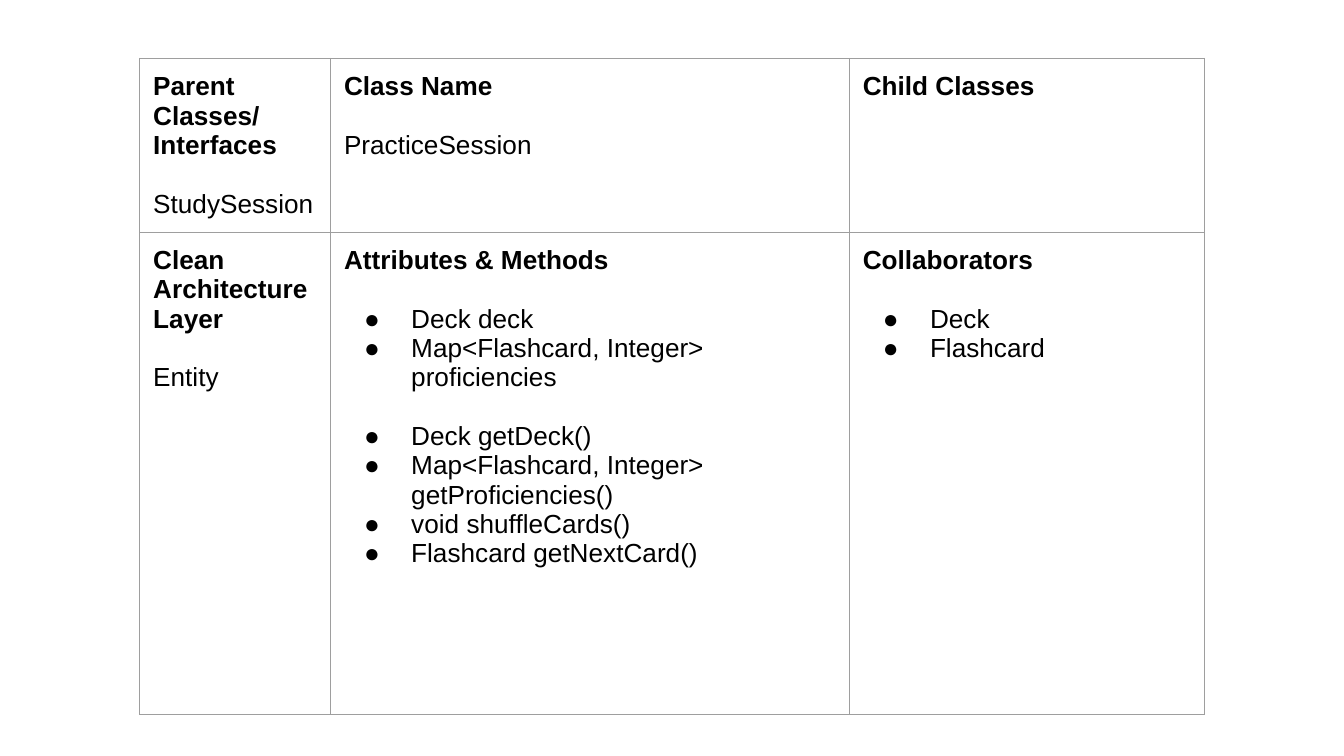
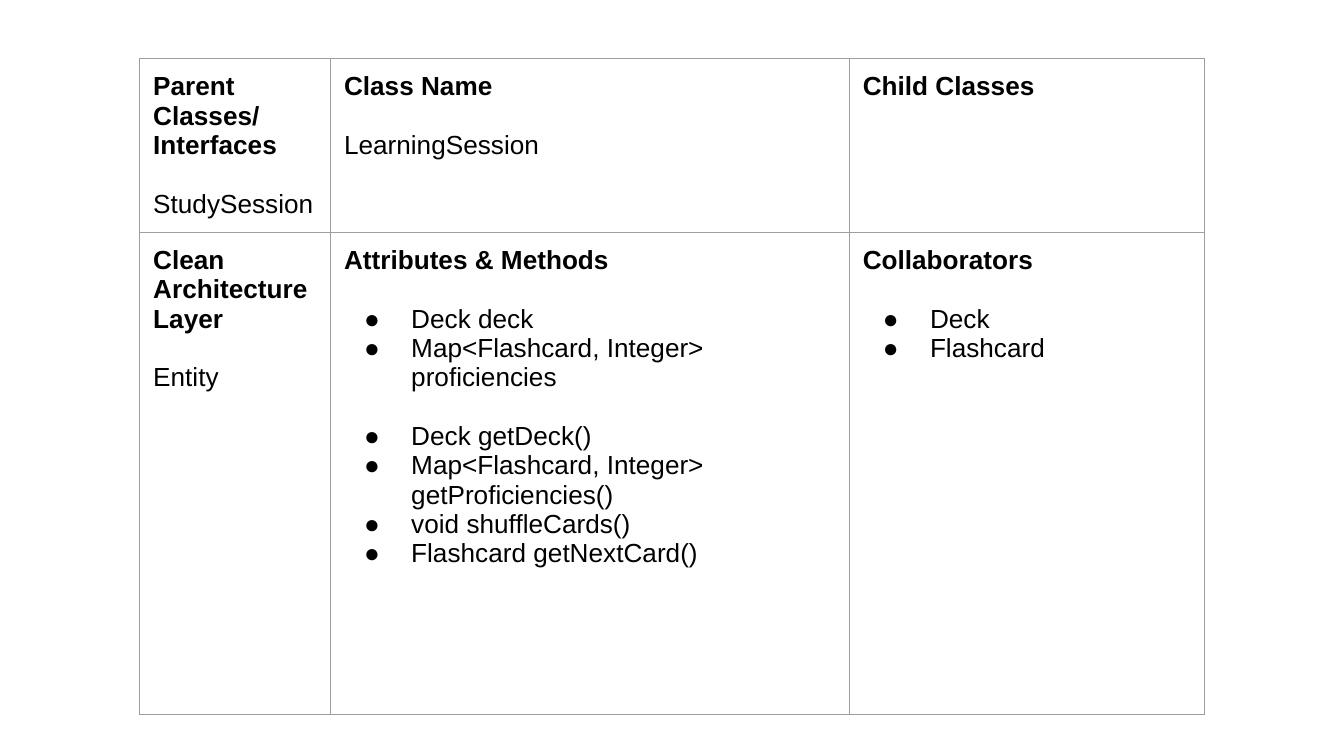
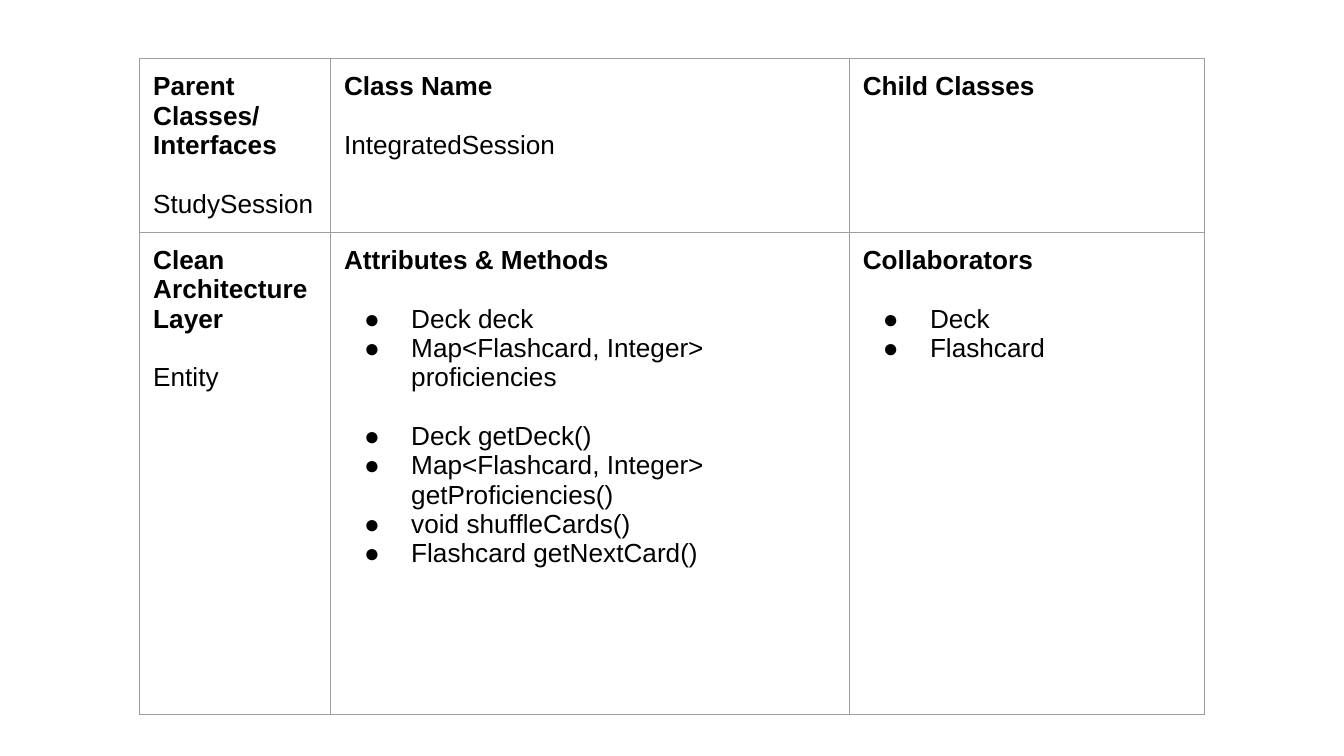
from lxml.etree import SubElement
from pptx import Presentation
from pptx.dml.color import RGBColor
from pptx.oxml.ns import qn
from pptx.util import Pt

EMU_PER_PX = 4572  # 200 px to the inch
BLANK_LAYOUT = 6
COLUMN_WIDTHS = (284, 772, 528)
ROW_HEIGHTS = (172, 718)

ATTRIBUTES = ("Deck deck", "Map<Flashcard, Integer> proficiencies")
METHODS = (
    "Deck getDeck()",
    "Map<Flashcard, Integer> getProficiencies()",
    "void shuffleCards()",
    "Flashcard getNextCard()",
)
COLLABORATORS = ("Deck", "Flashcard")
SESSION_CLASSES = ("PracticeSession", "LearningSession", "IntegratedSession")


def px(length):
    return length * EMU_PER_PX


def color(hex_string):
    return RGBColor.from_string(hex_string)


def add_solid_fill(parent, hex_string):
    fill = SubElement(parent, qn("a:solidFill"))
    SubElement(fill, qn("a:srgbClr"), val=hex_string)


class CardDeck:
    """Holds the shared card style, the presentation and the current slide."""

    font = "Arial"
    text_size = 14
    line_gap = 15.7
    text_color = "000000"
    border_color = "9E9E9E"
    border_width = 0.75
    cell_margin = 20
    bullet_indent = 100
    bullet_hang = 70

    def __init__(self):
        self.presentation = Presentation()
        self.presentation.slide_width = px(2000)
        self.presentation.slide_height = px(1125)
        self.slide = None

    def add_slide(self):
        layout = self.presentation.slide_layouts[BLANK_LAYOUT]
        self.slide = self.presentation.slides.add_slide(layout)

    def add_table(self, left, top, rows):
        """Add a table whose cells are lists of (text, format) pairs."""
        table = self.slide.shapes.add_table(
            len(ROW_HEIGHTS), len(COLUMN_WIDTHS), px(left), px(top),
            px(sum(COLUMN_WIDTHS)), px(sum(ROW_HEIGHTS))).table
        table.first_row = table.horz_banding = False
        for column, width in zip(table.columns, COLUMN_WIDTHS):
            column.width = px(width)
        for row, height, contents in zip(table.rows, ROW_HEIGHTS, rows):
            row.height = px(height)
            for cell, lines in zip(row.cells, contents):
                self.format_cell(cell)
                self.write_lines(cell.text_frame, lines)

    def format_cell(self, cell):
        margin = px(self.cell_margin)
        cell.margin_left = cell.margin_right = margin
        cell.margin_top = cell.margin_bottom = margin
        properties = cell._tc.get_or_add_tcPr()
        for side in ("a:lnL", "a:lnR", "a:lnT", "a:lnB"):
            line = SubElement(properties, qn(side), w=str(Pt(self.border_width)))
            add_solid_fill(line, self.border_color)
        cell.fill.background()

    def write_lines(self, text_frame, lines):
        for index, (text, options) in enumerate(lines):
            paragraph = text_frame.add_paragraph() if index else text_frame.paragraphs[0]
            self.write_text(paragraph, text, **options)

    def write_text(self, paragraph, text, bold=False, bullet=False, gap=False):
        """Write one paragraph; gap leaves one line of space above it."""
        run = paragraph.add_run()
        run.text = text
        run.font.name = self.font
        run.font.size = Pt(self.text_size)
        run.font.bold = bold
        run.font.color.rgb = color(self.text_color)
        paragraph.space_before = Pt(self.line_gap if gap else 0)
        if bullet:
            self.add_bullet(paragraph)

    def add_bullet(self, paragraph):
        properties = paragraph._p.get_or_add_pPr()
        properties.set("marL", str(px(self.bullet_indent)))
        properties.set("indent", str(-px(self.bullet_hang)))
        bullet_color = SubElement(properties, qn("a:buClr"))
        SubElement(bullet_color, qn("a:srgbClr"), val=self.text_color)
        SubElement(properties, qn("a:buFont"), typeface=self.font)
        SubElement(properties, qn("a:buChar"), char="●")


def heading(*texts):
    return [(text, {"bold": True}) for text in texts]


def value(text):
    return [(text, {"gap": True})]


def bullets(texts):
    """Make a bullet list set off from the text above it."""
    return [(text, {"bullet": True, "gap": index == 0})
            for index, text in enumerate(texts)]


def session_card(class_name):
    return [
        [
            heading("Parent Classes/", "Interfaces") + value("StudySession"),
            heading("Class Name") + value(class_name),
            heading("Child Classes"),
        ],
        [
            heading("Clean Architecture Layer") + value("Entity"),
            heading("Attributes & Methods") + bullets(ATTRIBUTES) + bullets(METHODS),
            heading("Collaborators") + bullets(COLLABORATORS),
        ],
    ]


def main():
    deck = CardDeck()
    for class_name in SESSION_CLASSES:
        deck.add_slide()
        deck.add_table(208, 87, session_card(class_name))
    deck.presentation.save("out.pptx")


if __name__ == "__main__":
    main()
